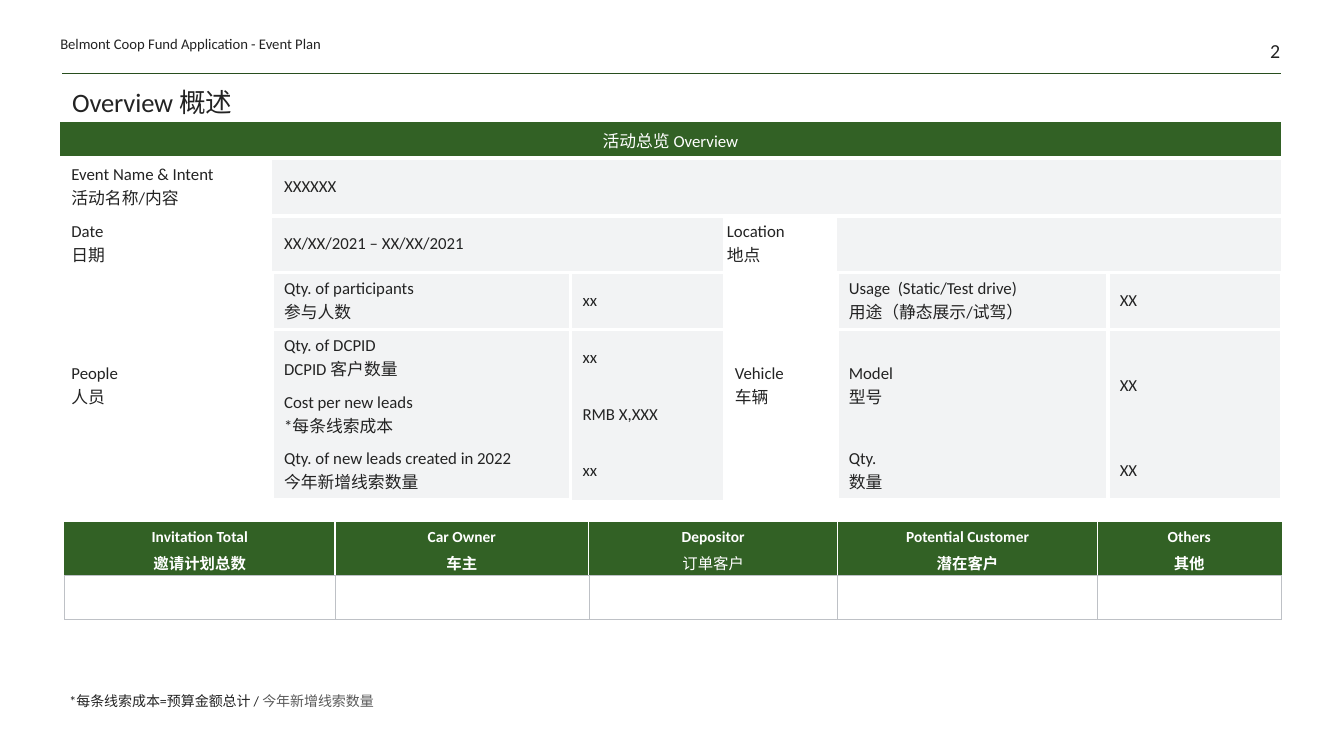
from typing import NamedTuple

import pptx
import pptx.dml.color
import pptx.enum.shapes
import pptx.enum.text
import pptx.oxml
import pptx.oxml.ns
import pptx.util
from pptx.dml.color import RGBColor
from pptx.util import Cm

GREEN = RGBColor(0x32, 0x61, 0x25)
RULE_GREEN = RGBColor(0x28, 0x4E, 0x1E)
PALE = RGBColor(0xF2, 0xF3, 0xF4)
WHITE = RGBColor(0xFF, 0xFF, 0xFF)
INK = RGBColor(0x23, 0x23, 0x23)
GREY = RGBColor(0x5A, 0x5A, 0x5A)
GRID = RGBColor(0xBE, 0xC1, 0xC6)
FONT = "Calibri"
PLAIN_STYLE = "{2D5ABB26-0587-4C30-8999-92F81FD0307C}"
ALIGN = pptx.enum.text.PP_ALIGN
ANCHOR = pptx.enum.text.MSO_ANCHOR


class Entry(NamedTuple):
    """One overview cell; borders maps sides L, R, T, B to white line widths."""
    row: int
    col: int
    text: str
    borders: dict[str, float]
    fill: RGBColor = PALE
    rows: int = 1
    cols: int = 1


class Label(NamedTuple):
    """A line of text outside the tables, with its box in centimetres."""
    text: str
    box: tuple[float, float, float, float]
    size: float
    inset: bool = False
    align: ALIGN = ALIGN.LEFT
    anchor: ANCHOR = ANCHOR.BOTTOM


OVERVIEW = [
    Entry(0, 0, "活动总览 Overview", {"B": 3}, GREEN, cols=6),
    Entry(1, 0, "Event Name & Intent\n活动名称/内容", {"L": 3, "T": 3, "B": 3}, WHITE),
    Entry(1, 1, "XXXXXX", {"R": 3, "T": 3, "B": 3}, cols=5),
    Entry(2, 0, "Date\n日期", {"L": 3, "T": 3, "B": 3}, WHITE),
    Entry(2, 1, "XX/XX/2021 – XX/XX/2021", {"T": 3, "B": 2.25}, cols=2),
    Entry(2, 3, "Location\n地点", {"T": 3, "B": 2.25}, WHITE),
    Entry(2, 4, "", {"R": 3, "T": 3, "B": 2.25}, cols=2),
    Entry(3, 0, "People\n人员", {"L": 3, "R": 2.25, "T": 3, "B": 3}, WHITE, rows=4),
    Entry(3, 1, "Qty. of participants\n参与人数", {"L": 2.25, "T": 2.25}),
    Entry(3, 2, "xx", {"T": 2.25}),
    Entry(3, 3, "Vehicle\n车辆", {"R": 3, "T": 2.25, "B": 3}, WHITE, rows=4),
    Entry(3, 4, "Usage  (Static/Test drive)\n用途（静态展示/试驾）", {"L": 3, "T": 2.25}),
    Entry(3, 5, "XX", {"R": 2.25, "T": 2.25}),
    Entry(4, 1, "Qty. of DCPID\nDCPID 客户数量", {"L": 2.25}),
    Entry(4, 2, "xx", {}),
    Entry(4, 4, "Model\n型号", {"L": 3}, rows=2),
    Entry(4, 5, "XX", {"R": 2.25}, rows=2),
    Entry(5, 1, "Cost per new leads\n*每条线索成本", {"L": 2.25}),
    Entry(5, 2, "RMB X,XXX", {}),
    Entry(6, 1, "Qty. of new leads created in 2022\n今年新增线索数量", {"L": 2.25, "B": 3}),
    Entry(6, 2, "xx", {}),
    Entry(6, 4, "Qty.\n数量", {"L": 3, "B": 3}),
    Entry(6, 5, "XX", {"R": 2.25, "B": 3}),
]
GUESTS = ["Invitation Total\n邀请计划总数", "Car Owner\n车主", "Depositor\n订单客户",
          "Potential Customer\n潜在客户", "Others\n其他"]
LABELS = [
    Label("2", (30.15, 0, 2.11, 1.57), 14.2, align=ALIGN.RIGHT),
    Label("Belmont Coop Fund Application - Event Plan", (1.52, 0.74, 10.59, 0.58), 10.5),
]
TITLE = Label("Overview 概述", (1.57, 2.08, 30.71, 1.02), 19, inset=True)
FOOTNOTE = Label("*每条线索成本=预算金额总计 / ", (1.5, 17.32, 14.22, 0.69), 10,
                 inset=True, anchor=ANCHOR.TOP)


def style_run(run, size: float, color: RGBColor, bold: bool = False) -> None:
    """Set the font of one run."""
    run.font.name = FONT
    run.font.size = pptx.util.Pt(size)
    run.font.color.rgb = color
    run.font.bold = bold


def add_label(slide, label: Label):
    """Add a text box and return its only paragraph."""
    frame = slide.shapes.add_textbox(*map(Cm, label.box)).text_frame
    frame.word_wrap = True
    frame.vertical_anchor = label.anchor
    if not label.inset:
        frame.margin_left = frame.margin_right = frame.margin_top = frame.margin_bottom = 0
    frame.text = label.text
    paragraph = frame.paragraphs[0]
    paragraph.alignment = label.align
    style_run(paragraph.runs[0], label.size, INK)
    return paragraph


def add_grid(slide, left: float, top: float, widths: list[float], heights: list[float]):
    """Add an unstyled table with the given columns and rows."""
    table = slide.shapes.add_table(len(heights), len(widths), Cm(left), Cm(top),
                                   Cm(sum(widths)), Cm(sum(heights))).table
    table.first_row = table.horz_banding = False
    table._tbl.tblPr.find(pptx.oxml.ns.qn("a:tableStyleId")).text = PLAIN_STYLE
    for column, width in zip(table.columns, widths):
        column.width = Cm(width)
    for row, height in zip(table.rows, heights):
        row.height = Cm(height)
    return table


def paint_cell(cell, fill: RGBColor, borders: dict[str, tuple[RGBColor, float]]) -> None:
    """Draw the borders of a cell, then its fill."""
    properties = cell._tc.get_or_add_tcPr()
    for side in "LRTB":
        if side in borders:
            color, width = borders[side]
            properties.append(pptx.oxml.parse_xml(
                f'<a:ln{side} {pptx.oxml.ns.nsdecls("a")} w="{pptx.util.Pt(width)}">'
                f'<a:solidFill><a:srgbClr val="{color}"/></a:solidFill></a:ln{side}>'))
    cell.fill.solid()
    cell.fill.fore_color.rgb = fill


def set_margins(cell, across: float, down: float) -> None:
    """Centre a cell vertically and set its margins in centimetres."""
    cell.vertical_anchor = ANCHOR.MIDDLE
    cell.margin_left = cell.margin_right = Cm(across)
    cell.margin_top = cell.margin_bottom = Cm(down)


def fill_entry(table, entry: Entry) -> None:
    """Merge, paint and write one overview entry."""
    last_row, last_col = entry.row + entry.rows - 1, entry.col + entry.cols - 1
    cell = table.cell(entry.row, entry.col)
    if entry.rows * entry.cols > 1:
        cell.merge(table.cell(last_row, last_col))
    for row in range(entry.row, last_row + 1):
        for col in range(entry.col, last_col + 1):
            outer = {"L": col == entry.col, "R": col == last_col,
                     "T": row == entry.row, "B": row == last_row}
            paint_cell(table.cell(row, col), entry.fill,
                       {side: (WHITE, width) for side, width in entry.borders.items()
                        if outer[side]})
    set_margins(cell, 0.3, 0.15)
    if entry.text.startswith("Location"):
        cell.margin_left, cell.margin_right = Cm(0.1), 0
    cell.text_frame.text = entry.text
    is_heading = entry.fill == GREEN
    for paragraph in cell.text_frame.paragraphs:
        paragraph.alignment = ALIGN.CENTER if is_heading else ALIGN.LEFT
        for run in paragraph.runs:
            style_run(run, 12, WHITE if is_heading else INK)


def fill_guest(table, col: int, text: str) -> None:
    """Write one guest heading and frame the empty cell under it."""
    heading = table.cell(0, col)
    paint_cell(heading, GREEN, {
        "L": (WHITE if col else GREEN, 1),
        "R": (WHITE if col < len(GUESTS) - 1 else GREEN, 1)})
    set_margins(heading, 0.13, 0.13)
    heading.text_frame.text = text
    for paragraph in heading.text_frame.paragraphs:
        paragraph.alignment = ALIGN.CENTER
        paragraph.space_before = pptx.util.Pt(4)
        style_run(paragraph.runs[0], 11, WHITE, paragraph.text != "订单客户")
    paint_cell(table.cell(1, col), WHITE, dict.fromkeys("LRTB", (GRID, 0.5)))


def add_rule(slide) -> None:
    """Draw the thin line under the page header."""
    rule = slide.shapes.add_connector(pptx.enum.shapes.MSO_CONNECTOR.STRAIGHT,
                                      Cm(1.57), Cm(1.85), Cm(32.28), Cm(1.85))
    rule.line.color.rgb = RULE_GREEN
    rule.line.width = pptx.util.Pt(0.5)
    rule._element.spPr.append(pptx.oxml.parse_xml(
        f'<a:effectLst {pptx.oxml.ns.nsdecls("a")}/>'))


deck = pptx.Presentation()
deck.slide_width, deck.slide_height = Cm(33.87), Cm(19.05)
slide = deck.slides.add_slide(deck.slide_layouts[6])
add_rule(slide)

overview = add_grid(slide, 1.5, 3.07, [5.36, 7.52, 3.84, 2.87, 6.83, 4.37],
                    [0.86, 1.45] + [1.35] * 5)
for entry in OVERVIEW:
    fill_entry(overview, entry)

title = add_label(slide, TITLE)
title.line_spacing = 0.85
title.runs[0]._r.get_or_add_rPr().set("spc", "-10")

guests = add_grid(slide, 1.63, 13.16, [6.81, 6.4, 6.27, 6.55, 4.62], [1.07, 1.12])
for col, text in enumerate(GUESTS):
    fill_guest(guests, col, text)

divisor = add_label(slide, FOOTNOTE).add_run()
divisor.text = "今年新增线索数量"
style_run(divisor, FOOTNOTE.size, GREY)
for label in LABELS:
    add_label(slide, label)

deck.save("out.pptx")
